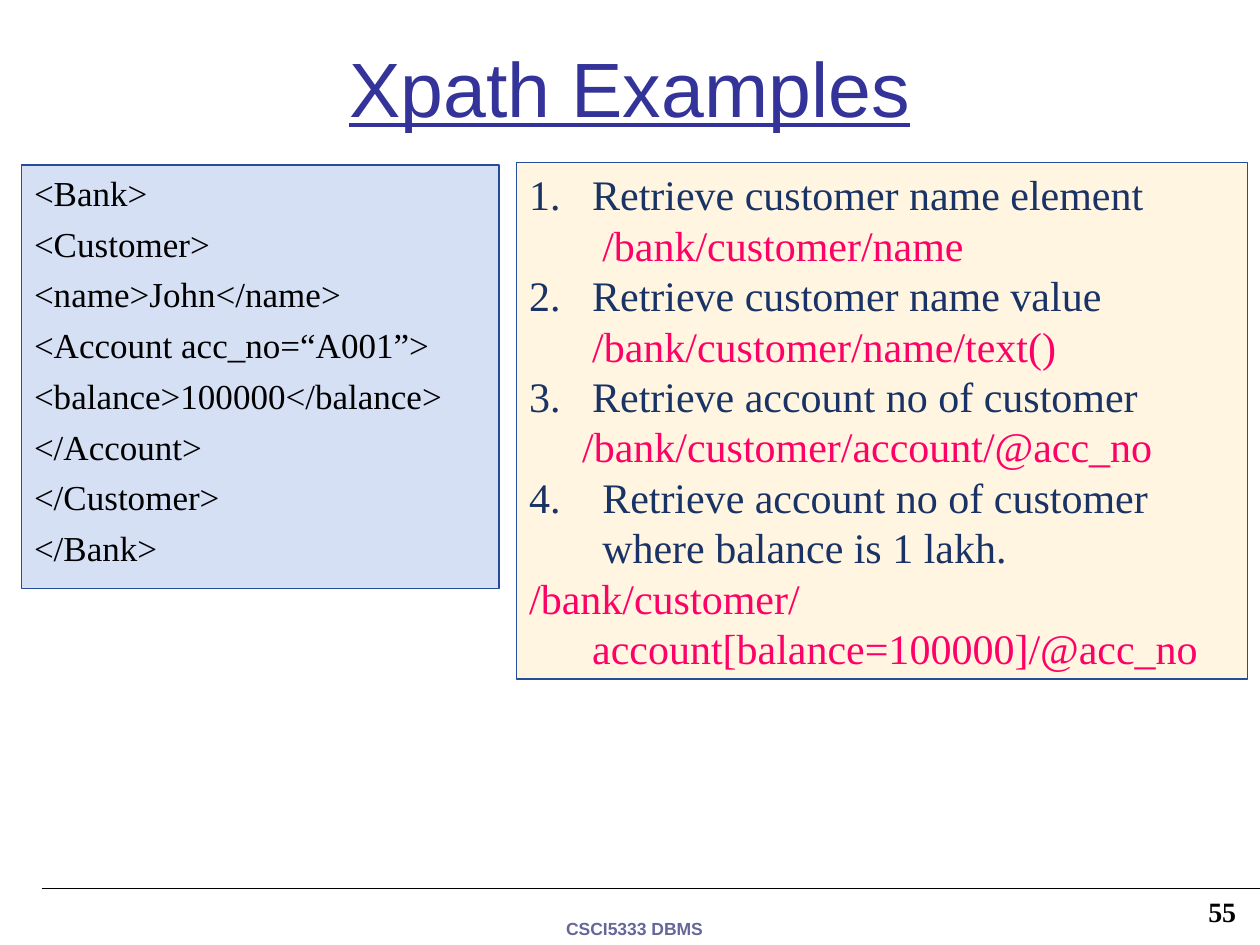
from pptx import Presentation
from pptx import util as u
from pptx.dml.color import RGBColor
from pptx.enum import shapes, text
from pptx.oxml.ns import qn
from lxml import etree

COLORS = {
    "title": "333399", "footer": "666699", "black": "000000",
    "xml_fill": "D6E0F5", "query_fill": "FFF5E0", "border": "264D99",
    "task": "193366", "path": "FF0066",
}
SERIF, SANS = "Times New Roman", "Arial"

XML_LINES = [
    "<Bank>",
    "<Customer>",
    "<name>John</name>",
    "<Account acc_no=“A001”>",
    "<balance>100000</balance>",
    "</Account>",
    "</Customer>",
    "</Bank>",
]

# (number or None, text, colour, left margin, first-line indent)
QUERY_LINES = [
    (1, "Retrieve customer name element", "task", 0.5, -0.5),
    (None, "/bank/customer/name", "path", 0.58, 0),
    (2, "Retrieve customer name value", "task", 0.5, -0.5),
    (None, "/bank/customer/name/text()", "path", 0.5, 0),
    (3, "Retrieve account no of customer", "task", 0.5, -0.5),
    (None, "/bank/customer/account/@acc_no", "path", 0.42, 0),
    (4, "Retrieve account no of customer", "task", 0.58, -0.58),
    (None, "where balance is 1 lakh.", "task", 0.58, 0),
    (None, "/bank/customer/account[balance=100000]/@acc_no", "path", 0.5, -0.5),
]


def color(name):
    return RGBColor.from_string(COLORS[name])


def set_values(target, values):
    for name, value in values.items():
        setattr(target, name, value)


def place(shape, left, top, width, height, anchor):
    """Position a shape and give its text frame common settings."""
    sides = dict(left=left, top=top, width=width, height=height)
    set_values(shape, {side: u.Inches(value) for side, value in sides.items()})
    set_values(shape.text_frame, {
        "word_wrap": True,
        "auto_size": text.MSO_AUTO_SIZE.NONE,
        "vertical_anchor": anchor,
    })


def write(paragraph, words, color_name, paragraph_format, font_format):
    set_values(paragraph, paragraph_format)
    run = paragraph.add_run()
    run.text = words
    set_values(run.font, font_format)
    run.font.color.rgb = color(color_name)


def set_bullet(paragraph, number, left=0, indent=0):
    """Set indents and an automatic number, or no bullet."""
    properties = paragraph._p.get_or_add_pPr()
    properties.set("marL", str(u.Inches(left)))
    properties.set("indent", str(u.Inches(indent)))
    if number is None:
        etree.SubElement(properties, qn("a:buNone"))
    else:
        etree.SubElement(properties, qn("a:buAutoNum"),
                         type="arabicPeriod", startAt=str(number))


def fill_panel(panel, fill_name, lines, paragraph_format, size):
    """Format a body placeholder as a bordered panel of lines."""
    panel.fill.solid()
    panel.fill.fore_color.rgb = color(fill_name)
    panel.line.color.rgb = color("border")
    panel.line.width = u.Pt(0.75)
    frame = panel.text_frame
    for index, (number, words, color_name, left, indent) in enumerate(lines):
        paragraph = frame.add_paragraph() if index else frame.paragraphs[0]
        write(paragraph, words, color_name, paragraph_format,
              {"name": SERIF, "size": u.Pt(size)})
        set_bullet(paragraph, number, left, indent)


def add_label(slide, box, anchor, words, color_name, alignment, name, size):
    label = slide.shapes.add_textbox(0, 0, 0, 0)
    place(label, *box, anchor)
    write(label.text_frame.paragraphs[0], words, color_name,
          {"alignment": alignment},
          {"name": name, "size": u.Pt(size), "bold": True})


def add_rule(slide, left, right, top):
    rule = slide.shapes.add_connector(
        shapes.MSO_CONNECTOR.STRAIGHT,
        u.Inches(left), u.Inches(top), u.Inches(right), u.Inches(top))
    rule.line.color.rgb = color("black")
    rule.line.width = u.Pt(0.75)
    etree.SubElement(rule._element.spPr, qn("a:effectLst"))


def main():
    presentation = Presentation()
    presentation.slide_width = u.Inches(10)
    presentation.slide_height = u.Inches(7.5)
    two_content = presentation.slide_layouts[3]
    slide = presentation.slides.add_slide(two_content)
    title, xml_panel, query_panel = slide.placeholders
    align, anchor = text.PP_ALIGN, text.MSO_ANCHOR

    # Footer
    add_rule(slide, 0.33, 10, 7.05)
    add_label(slide, (0.89, 7.12, 8.29, 0.38), anchor.BOTTOM,
              "CSCI5333 DBMS", "footer", align.CENTER, SANS, 10)
    add_label(slide, (8.07, 7.06, 1.84, 0.35), anchor.MIDDLE,
              "55", "black", align.RIGHT, SERIF, 16)

    # Title
    place(title, 0.75, 0.06, 8.5, 1.25, anchor.MIDDLE)
    write(title.text_frame.paragraphs[0], "Xpath Examples", "title",
          {"alignment": align.CENTER},
          {"name": SANS, "size": u.Pt(44), "underline": True})

    # Sample document
    place(xml_panel, 0.17, 1.31, 3.79, 3.36, anchor.TOP)
    fill_panel(xml_panel, "xml_fill",
               [(None, line, "black", 0, 0) for line in XML_LINES],
               {"space_before": u.Pt(5), "line_spacing": u.Pt(24)}, 20)

    # Queries
    place(query_panel, 4.1, 1.29, 5.8, 4.1, anchor.TOP)
    fill_panel(query_panel, "query_fill", QUERY_LINES,
               {"space_before": u.Pt(0), "line_spacing": u.Pt(28.8)}, 24)

    presentation.save("out.pptx")


if __name__ == "__main__":
    main()
